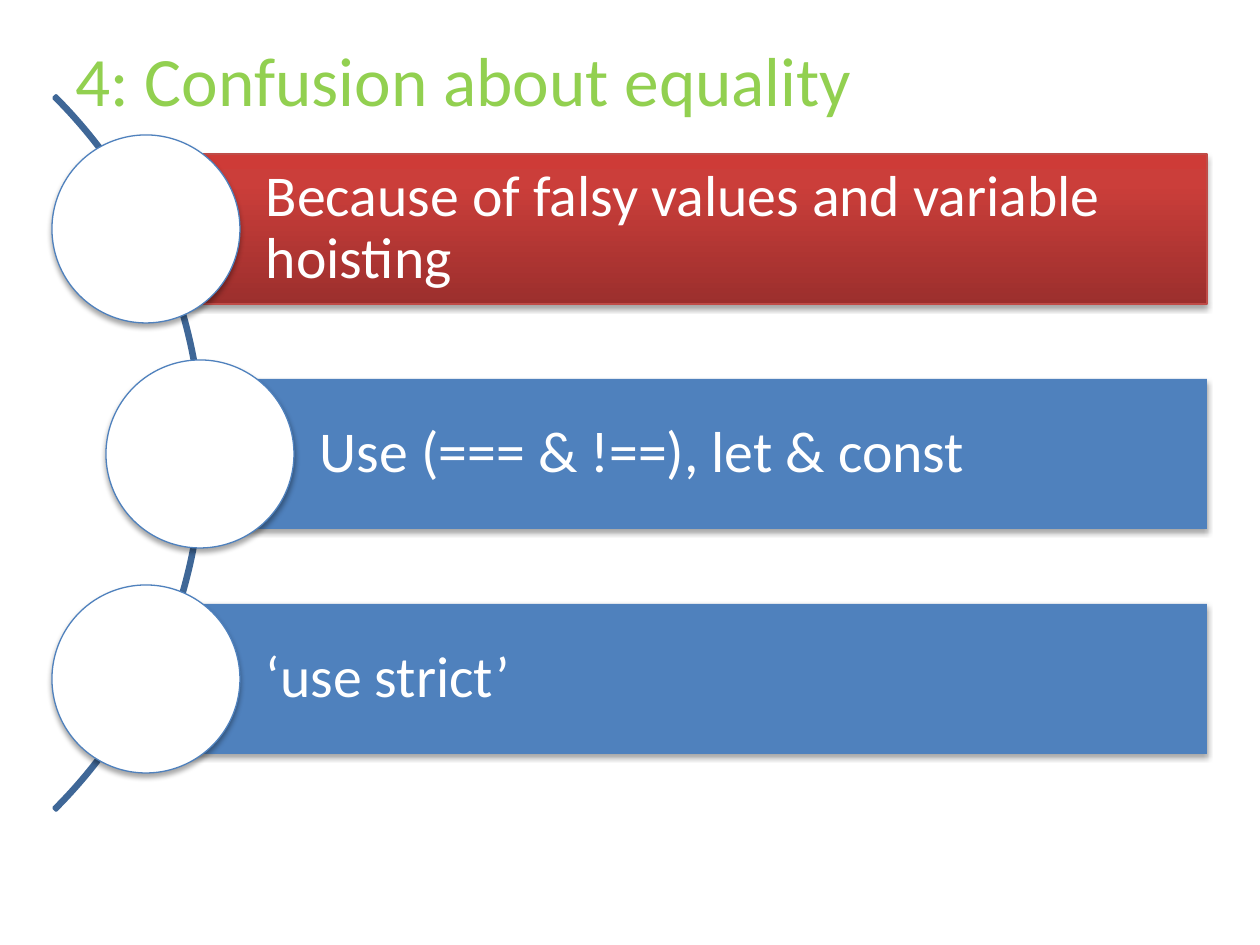
from dataclasses import dataclass
from typing import Optional

from lxml.etree import SubElement
from pptx import Presentation
from pptx.dml.color import RGBColor
from pptx.enum.shapes import MSO_SHAPE as Preset
from pptx.enum.text import MSO_ANCHOR as Anchor, MSO_AUTO_SIZE as AutoSize, PP_ALIGN as Align
from pptx.oxml.ns import qn
from pptx.shapes.autoshape import Shape
from pptx.shapes.shapetree import GroupShapes
from pptx.text.text import TextFrame
from pptx.util import Emu, Inches, Pt

PX = Inches(1) / 126
GREEN = RGBColor(0x92, 0xD0, 0x50)
WHITE = RGBColor(0xFF, 0xFF, 0xFF)
BLUE = RGBColor(0x4F, 0x81, 0xBD)
ARC_BLUE = RGBColor(0x3F, 0x67, 0x97)
RED_EDGE = RGBColor(0xBF, 0x4C, 0x48)
BLACK = RGBColor(0x00, 0x00, 0x00)
RED_STOPS = (
    (0, RGBColor(0x9C, 0x2F, 0x2D)),
    (80, RGBColor(0xCB, 0x3E, 0x3A)),
    (100, RGBColor(0xCE, 0x3B, 0x37)),
)
FONT = "Calibri"
BAR_RIGHT, BAR_HEIGHT = 1207, 150
FIRST_TOP, PITCH = 154, 225
CIRCLE = 188


@dataclass(frozen=True)
class Advice:
    """One bar of the list with the left edge it starts from."""

    text: str
    left: int
    highlighted: bool = False


ADVICE = (
    Advice("Because of falsy values and variable hoisting", 146, True),
    Advice("Use (=== & !==), let & const", 200),
    Advice("‘use strict’", 146),
)


def px(length: float) -> Emu:
    """Turn px into EMU."""
    return Emu(round(length * PX))


def write(frame: TextFrame, text: str, size: float, color: RGBColor) -> None:
    """Write one left-aligned, vertically centred run."""
    frame.word_wrap = True
    frame.auto_size = AutoSize.NONE
    frame.vertical_anchor = Anchor.MIDDLE
    paragraph = frame.paragraphs[0]
    paragraph.alignment = Align.LEFT
    run = paragraph.add_run()
    run.text = text
    run.font.name, run.font.size = FONT, Pt(size)
    run.font.color.rgb = color


def add_preset(group: GroupShapes, preset: Preset, left: int, top: int, width: int, height: int,
               fill: Optional[RGBColor], edge: Optional[RGBColor], weight: float = 0.75) -> Shape:
    """Add a shape with a plain fill and edge, either of which may be absent."""
    shape = group.add_shape(preset, px(left), px(top), px(width), px(height))
    shape.shadow.inherit = False
    if fill is None:
        shape.fill.background()
    else:
        shape.fill.solid()
        shape.fill.fore_color.rgb = fill
    if edge is None:
        shape.line.fill.background()
    else:
        shape.line.color.rgb = edge
        shape.line.width = Pt(weight)
    return shape


def drop_shadow(shape: Shape) -> None:
    """Cast a soft shadow straight down."""
    effects = shape._element.spPr.find(qn("a:effectLst"))
    shadow = SubElement(effects, qn("a:outerShdw"), blurRad=str(Pt(3.1)), dist=str(Pt(1.8)),
                        dir="5400000", rotWithShape="0")
    color = SubElement(shadow, qn("a:srgbClr"), val=str(BLACK))
    SubElement(color, qn("a:alpha"), val="35000")


def shade_red(shape: Shape) -> None:
    """Fill with a red gradient, darkest at the bottom."""
    shape.fill.gradient()
    gradient = shape._element.spPr.find(qn("a:gradFill"))
    stops = gradient.find(qn("a:gsLst"))
    for stop in list(stops):
        stops.remove(stop)
    for percent, color in RED_STOPS:
        stop = SubElement(stops, qn("a:gs"), pos=str(percent * 1000))
        SubElement(stop, qn("a:srgbClr"), val=str(color))
    gradient.find(qn("a:lin")).set("ang", str(270 * 60000))


def add_advice(group: GroupShapes, advice: Advice, top: int) -> None:
    """Draw a bar with its text and the circle over its left edge."""
    bar = add_preset(group, Preset.RECTANGLE, advice.left, top, BAR_RIGHT - advice.left, BAR_HEIGHT,
                     BLUE, RED_EDGE if advice.highlighted else None)
    if advice.highlighted:
        shade_red(bar)
    drop_shadow(bar)
    frame = bar.text_frame
    frame.margin_left = px(120)
    frame.margin_top = frame.margin_right = frame.margin_bottom = px(11)
    write(frame, advice.text, 33, WHITE)
    frame.paragraphs[0].line_spacing = 0.9
    circle = add_preset(group, Preset.OVAL, advice.left - CIRCLE // 2,
                        top + (BAR_HEIGHT - CIRCLE) // 2, CIRCLE, CIRCLE, WHITE, BLUE)
    drop_shadow(circle)


def main() -> None:
    """Build and save the slide."""
    deck = Presentation()
    deck.slide_width, deck.slide_height = Inches(10), Inches(7.5)
    slide = deck.slides.add_slide(deck.slide_layouts[0])
    subtitle = slide.placeholders[1]._element
    subtitle.getparent().remove(subtitle)

    title = slide.shapes.title
    title.left, title.top, title.width, title.height = px(63), px(32), px(1071), px(94)
    write(title.text_frame, "4: Confusion about equality", 39.6, GREEN)

    diagram = slide.shapes.add_group_shape().shapes
    arc = add_preset(diagram, Preset.BLOCK_ARC, -806, -52, 1010, 1010, None, ARC_BLUE, 2)
    for index, value in enumerate((189, 27, 0.003)):
        arc.adjustments[index] = value
    for row, advice in enumerate(ADVICE):
        add_advice(diagram, advice, FIRST_TOP + row * PITCH)

    deck.save("out.pptx")


if __name__ == "__main__":
    main()
